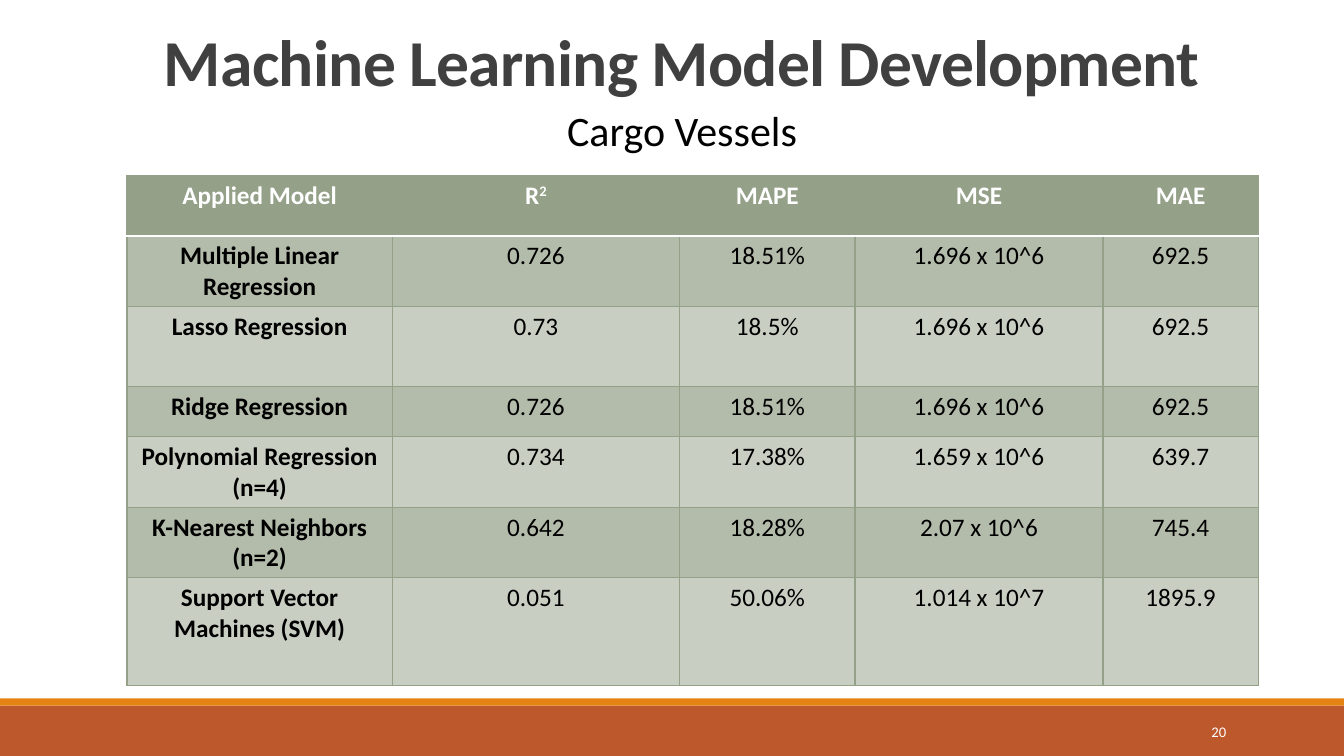
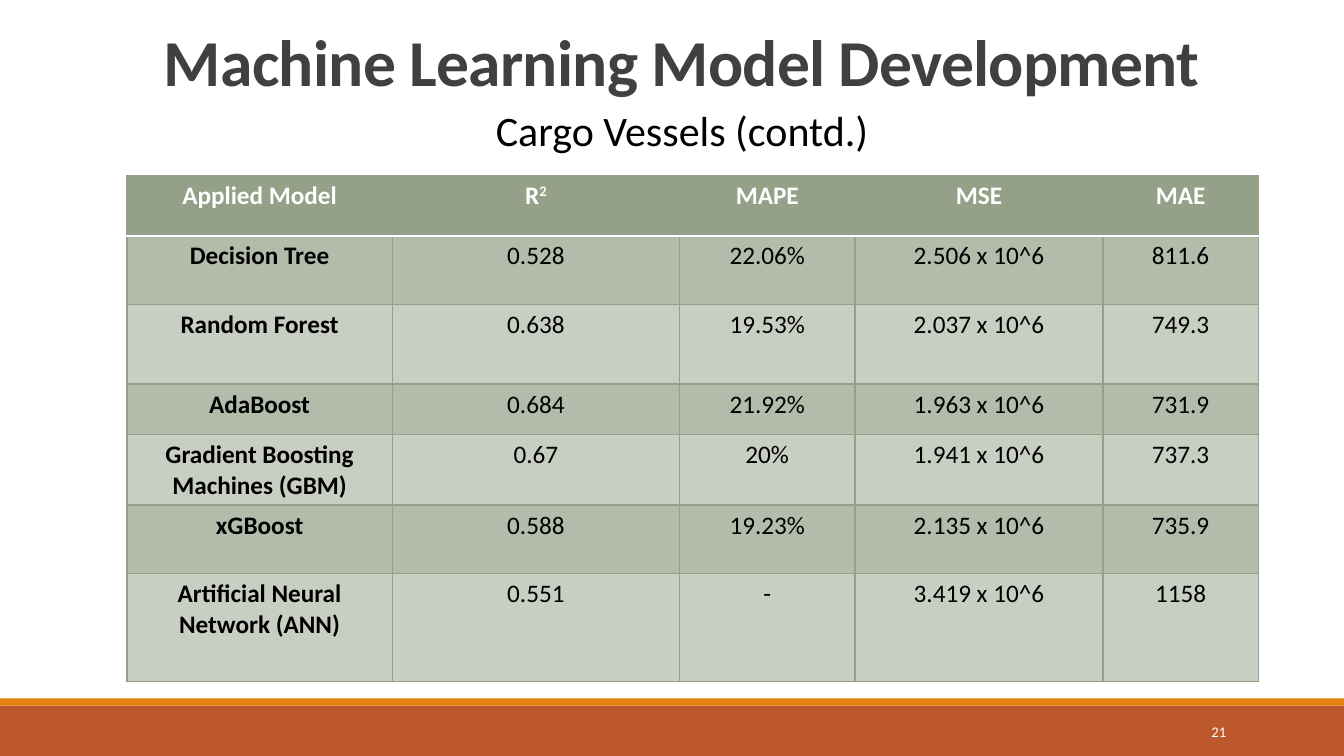
"""Build two slides comparing machine learning models for cargo vessels."""
from dataclasses import dataclass

from lxml.etree import SubElement
from pptx import Presentation
from pptx.dml.color import RGBColor
from pptx.enum.shapes import MSO_SHAPE
from pptx.enum.text import MSO_ANCHOR as Anchor, PP_ALIGN as Align
from pptx.oxml.ns import qn
from pptx.util import Inches, Pt

FONT = "Calibri"
COLORS = {
    "footer": "BD582C",
    "accent": "E48312",
    "title": "404040",
    "text": "000000",
    "white": "FFFFFF",
    "sage": "94A088",
    "band_dark": "B3BBAB",
    "band_light": "C9CEC3",
}
TITLE = "Machine Learning Model Development"
HEADERS = ("Applied Model", "R", "MAPE", "MSE", "MAE")
SUPERSCRIPTS = {"R": "2"}
COLUMN_WIDTHS = (2.63, 2.85, 1.74, 2.46, 1.54)
ROW_HEIGHTS = (0.6, 0.68, 0.79, 0.5, 0.68, 0.68, 1.07)


@dataclass(frozen=True)
class Box:
    left: float
    top: float
    width: float
    height: float

    def lengths(self) -> tuple:
        return tuple(Inches(n) for n in (self.left, self.top, self.width, self.height))


@dataclass(frozen=True)
class TextStyle:
    size: float
    color: str
    bold: bool = False
    align: Align = Align.CENTER
    anchor: Anchor = Anchor.TOP
    line_spacing: float = 1.0
    tracking: int = 0


@dataclass(frozen=True)
class ModelSlide:
    number: int
    subtitle: str
    rows: tuple


BANDS = (
    (Box(0, 7, 13.33, 0.5), "footer"),
    (Box(0, 6.93, 13.33, 0.07), "accent"),
)
NUMBER_BOX = Box(10.83, 7.06, 1.43, 0.4)
TITLE_BOX = Box(1.26, 0.28, 11, 1.59)
SUBTITLE_BOX = Box(0.39, 0.99, 12.75, 0.61)
TABLE_BOX = Box(1.26, 1.74, sum(COLUMN_WIDTHS), sum(ROW_HEIGHTS))

NUMBER_STYLE = TextStyle(10.5, "white", align=Align.RIGHT, anchor=Anchor.MIDDLE)
TITLE_STYLE = TextStyle(46.8, "title", bold=True, line_spacing=0.85, tracking=-50)
SUBTITLE_STYLE = TextStyle(30, "text")
HEADER_STYLE = TextStyle(18, "white", bold=True)
MODEL_STYLE = TextStyle(18, "text", bold=True)
VALUE_STYLE = TextStyle(18, "text")

SLIDES = (
    ModelSlide(20, "Cargo Vessels", (
        ("Multiple Linear Regression", "0.726", "18.51%", "1.696 x 10^6", "692.5"),
        ("Lasso Regression", "0.73", "18.5%", "1.696 x 10^6", "692.5"),
        ("Ridge Regression", "0.726", "18.51%", "1.696 x 10^6", "692.5"),
        ("Polynomial Regression (n=4)", "0.734", "17.38%", "1.659 x 10^6", "639.7"),
        ("K-Nearest Neighbors (n=2)", "0.642", "18.28%", "2.07 x 10^6", "745.4"),
        ("Support Vector Machines (SVM)", "0.051", "50.06%", "1.014 x 10^7", "1895.9"),
    )),
    ModelSlide(21, "Cargo Vessels (contd.)", (
        ("Decision Tree", "0.528", "22.06%", "2.506 x 10^6", "811.6"),
        ("Random Forest", "0.638", "19.53%", "2.037 x 10^6", "749.3"),
        ("AdaBoost", "0.684", "21.92%", "1.963 x 10^6", "731.9"),
        ("Gradient Boosting Machines (GBM)", "0.67", "20%", "1.941 x 10^6", "737.3"),
        ("xGBoost", "0.588", "19.23%", "2.135 x 10^6", "735.9"),
        ("Artificial Neural Network (ANN)", "0.551", "-", "3.419 x 10^6", "1158"),
    )),
)


def rgb(name: str) -> RGBColor:
    return RGBColor.from_string(COLORS[name])


def add_run(paragraph, text: str, style: TextStyle, baseline: int = 0) -> None:
    run = paragraph.add_run()
    run.text = text
    run.font.name = FONT
    run.font.size = Pt(style.size)
    run.font.bold = style.bold
    run.font.color.rgb = rgb(style.color)
    properties = run.font._element
    if style.tracking:
        properties.set("spc", str(style.tracking))
    if baseline:
        properties.set("baseline", str(baseline))


def write_text(text_frame, text: str, style: TextStyle, superscript: str = "") -> None:
    paragraph = text_frame.paragraphs[0]
    paragraph.alignment = style.align
    paragraph.line_spacing = style.line_spacing
    add_run(paragraph, text, style)
    if superscript:
        add_run(paragraph, superscript, style, baseline=30000)


def add_text(slide, box: Box, text: str, style: TextStyle) -> None:
    text_frame = slide.shapes.add_textbox(*box.lengths()).text_frame
    text_frame.word_wrap = True
    text_frame.vertical_anchor = style.anchor
    write_text(text_frame, text, style)


def add_band(slide, box: Box, color: str) -> None:
    shape = slide.shapes.add_shape(MSO_SHAPE.RECTANGLE, *box.lengths())
    shape.shadow.inherit = False
    shape.fill.solid()
    shape.fill.fore_color.rgb = rgb(color)
    shape.line.fill.background()


def set_border(cell, side: str, color: str, width: float) -> None:
    properties = cell._tc.get_or_add_tcPr()
    line = SubElement(properties, qn(f"a:ln{side}"), w=str(Pt(width)))
    fill = SubElement(line, qn("a:solidFill"))
    SubElement(fill, qn("a:srgbClr"), val=COLORS[color])


def format_cell(cell, row: int) -> None:
    white_side = {0: "B", 1: "T"}.get(row)
    for side in "LRTB":
        if side == white_side:
            set_border(cell, side, "white", 1.25)
        else:
            set_border(cell, side, "sage", 1)
    cell.fill.solid()
    band = "band_dark" if row % 2 else "band_light"
    cell.fill.fore_color.rgb = rgb("sage" if row == 0 else band)


def add_model_table(slide, model_rows: tuple) -> None:
    rows = (HEADERS, *model_rows)
    frame = slide.shapes.add_table(len(rows), len(HEADERS), *TABLE_BOX.lengths())
    table = frame.table
    for column, width in zip(table.columns, COLUMN_WIDTHS):
        column.width = Inches(width)
    for table_row, height in zip(table.rows, ROW_HEIGHTS):
        table_row.height = Inches(height)
    for row, texts in enumerate(rows):
        for column, text in enumerate(texts):
            cell = table.cell(row, column)
            format_cell(cell, row)
            body_style = VALUE_STYLE if column else MODEL_STYLE
            style = body_style if row else HEADER_STYLE
            write_text(cell.text_frame, text, style, SUPERSCRIPTS.get(text, ""))


def add_model_slide(presentation, content: ModelSlide) -> None:
    slide = presentation.slides.add_slide(presentation.slide_layouts[6])
    for box, color in BANDS:
        add_band(slide, box, color)
    add_text(slide, NUMBER_BOX, str(content.number), NUMBER_STYLE)
    add_text(slide, TITLE_BOX, TITLE, TITLE_STYLE)
    add_text(slide, SUBTITLE_BOX, content.subtitle, SUBTITLE_STYLE)
    add_model_table(slide, content.rows)


def main() -> None:
    presentation = Presentation()
    presentation.slide_width = Inches(13.33)
    presentation.slide_height = Inches(7.5)
    for content in SLIDES:
        add_model_slide(presentation, content)
    presentation.save("out.pptx")


if __name__ == "__main__":
    main()
